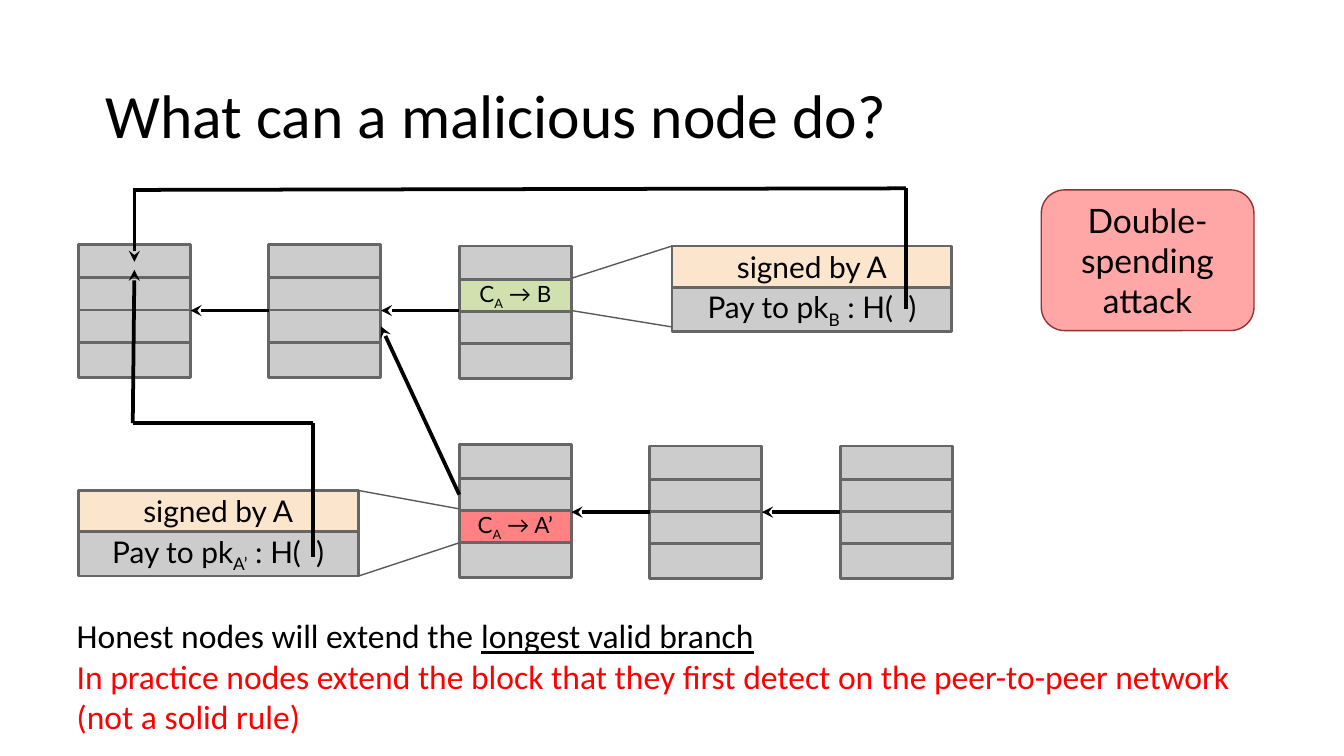
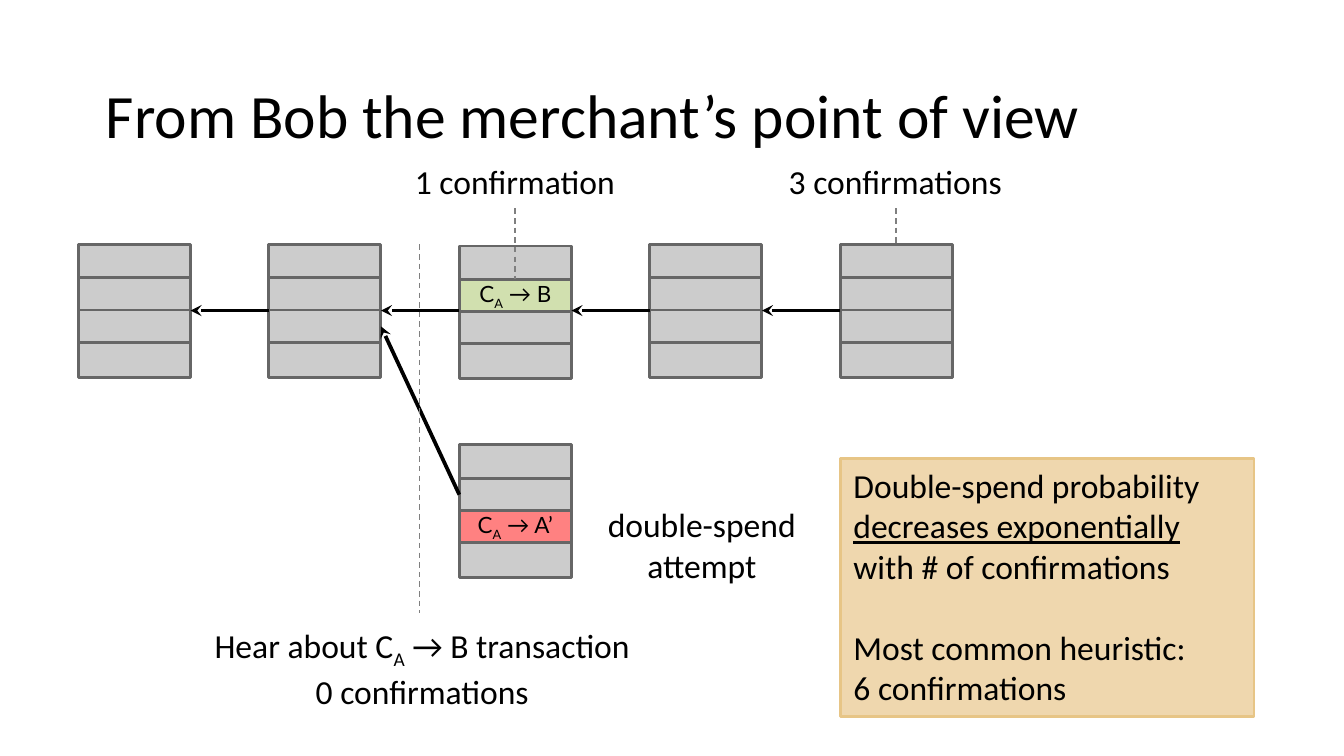
from dataclasses import dataclass
from typing import NamedTuple

from lxml.etree import SubElement
from pptx import Presentation
from pptx.dml.color import RGBColor
from pptx.enum.dml import MSO_LINE
from pptx.enum.shapes import MSO_CONNECTOR, MSO_SHAPE
from pptx.enum.text import MSO_ANCHOR, MSO_AUTO_SIZE, PP_ALIGN
from pptx.oxml.ns import qn
from pptx.util import Cm, Pt

HUES = {
    "ink": "000000", "paper": "FFFFFF", "row": "CCCCCC", "edge": "666666",
    "green": "D1E0AF", "red": "FF8181", "cream": "FCE5CD", "zoom": "595959",
    "dash": "7F7F7F", "pink": "FFA7A7", "wine": "952F30", "alert": "FF0000",
    "sand": "EFD7AE", "gold": "E7C586",
}
LEFT, PITCH, WIDTH = 1.48, 3.6, 2.12
ROWS = (0.63, 0.61, 0.61, 0.66)
UPPER, LOWER = 4.62, 8.43
MID = 1.25
CARD = 5.29
HEAD = 0.78


class Bit(NamedTuple):
    text: str
    sub: bool = False
    under: bool = False


class Para(NamedTuple):
    bits: tuple[Bit, ...]
    hue: str = "ink"
    gap: float = 0


class Box(NamedTuple):
    x: float
    y: float
    w: float
    h: float


@dataclass
class Look:
    font: str = "Calibri"
    size: float = 18
    align: PP_ALIGN = PP_ALIGN.CENTER
    anchor: MSO_ANCHOR = MSO_ANCHOR.TOP
    pad: float = 0.13


@dataclass
class Block:
    col: int
    top: float
    mark: int = -1
    hue: str = "row"
    name: str = ""


@dataclass
class Line:
    x1: float
    y1: float
    x2: float
    y2: float
    hue: str = "ink"
    width: float = 2
    arrow: bool = False
    dash: bool = False


PLAIN = Look()
NOTE = Look(align=PP_ALIGN.LEFT)
CELL = Look("Lato", 12, anchor=MSO_ANCHOR.MIDDLE, pad=0.25)
TAG = Look("Lato", 16, anchor=MSO_ANCHOR.MIDDLE, pad=0.25)
BADGE = Look("Lato", anchor=MSO_ANCHOR.MIDDLE)
TITLE = Look(size=33, align=PP_ALIGN.LEFT, anchor=MSO_ANCHOR.MIDDLE, pad=0.25)


def tint(key: str) -> RGBColor:
    return RGBColor.from_string(HUES[key])


def say(text: str, hue: str = "ink") -> Para:
    return Para((Bit(text),), hue)


def coin(owner: str, lead: str = "", tail: str = "") -> Para:
    return Para((Bit(lead + "C"), Bit("A", sub=True), Bit(f" → {owner}{tail}")))


def left(col: int) -> float:
    return LEFT + col * PITCH


def write(shape, paras: list[Para], look: Look) -> None:
    frame = shape.text_frame
    frame.word_wrap = True
    frame.auto_size = MSO_AUTO_SIZE.NONE
    frame.vertical_anchor = look.anchor
    frame.margin_left = frame.margin_right = Cm(0.25)
    frame.margin_top = frame.margin_bottom = Cm(look.pad)
    for i, para in enumerate(paras):
        p = frame.add_paragraph() if i else frame.paragraphs[0]
        p.alignment = look.align
        p.space_before = Pt(para.gap)
        p.font.name = look.font
        p.font.size = Pt(look.size)
        p.font.color.rgb = tint(para.hue)
        for bit in para.bits:
            for j, part in enumerate(bit.text.split("\n")):
                if j:
                    p.add_line_break()
                run = p.add_run()
                run.text = part
                if bit.under:
                    run.font.underline = True
                if bit.sub:
                    run.font._element.set("baseline", "-25000")


def panel(shapes, box: Box, fill: str, edge: str = "edge", width: float = 1.5,
          kind: MSO_SHAPE = MSO_SHAPE.RECTANGLE):
    shape = shapes.add_shape(kind, *map(Cm, box))
    shape.shadow.inherit = False
    shape.fill.solid()
    shape.fill.fore_color.rgb = tint(fill)
    shape.line.color.rgb = tint(edge)
    shape.line.width = Pt(width)
    return shape


def label(slide, box: Box, paras: list[Para], look: Look = PLAIN) -> None:
    write(slide.shapes.add_textbox(*map(Cm, box)), paras, look)


def draw(slide, line: Line) -> None:
    ends = map(Cm, (line.x1, line.y1, line.x2, line.y2))
    wire = slide.shapes.add_connector(MSO_CONNECTOR.STRAIGHT, *ends)
    wire.line.color.rgb = tint(line.hue)
    wire.line.width = Pt(line.width)
    if line.dash:
        wire.line.dash_style = MSO_LINE.DASH
    if line.arrow:
        SubElement(wire.line._ln, qn("a:tailEnd"), type="stealth")
    SubElement(wire._element.spPr, qn("a:effectLst"))


def stack(slide, block: Block) -> None:
    group = slide.shapes.add_group_shape()
    y = block.top
    for i, high in enumerate(ROWS):
        hit = i == block.mark
        box = Box(left(block.col), y, WIDTH, high)
        row = panel(group.shapes, box, block.hue if hit else "row")
        if hit:
            write(row, [coin(block.name)], CELL)
        y += high


def link(slide, col: int, top: float) -> None:
    y = top + MID
    draw(slide, Line(left(col), y, left(col - 1) + WIDTH, y, arrow=True))


def card(slide, x: float, y: float, name: str) -> None:
    group = slide.shapes.add_group_shape()
    pay = panel(group.shapes, Box(x, y + HEAD, CARD, 0.84), "row")
    write(pay, [Para((Bit("Pay to pk"), Bit(name, sub=True), Bit(" : H(  )")))], TAG)
    sign = panel(group.shapes, Box(x, y, CARD, HEAD), "cream")
    write(sign, [say("signed by A")], TAG)


def start(deck, text: str, top: float):
    slide = deck.slides.add_slide(deck.slide_layouts[5])
    title = slide.shapes.title
    title.left, title.top, title.width, title.height = map(Cm, (1.75, 0.76, 21.9, 2.77))
    title.line.color.rgb = tint("paper")
    title.line.width = Pt(0.75)
    write(title, [say(text)], TITLE)
    blocks = [
        Block(0, UPPER), Block(1, UPPER),
        Block(2, UPPER + 0.03, 1, "green", "B"),
        Block(2, LOWER - 0.02, 2, "red", "A’"),
        Block(3, top), Block(4, top),
    ]
    for block in blocks:
        stack(slide, block)
    for col, y in ((1, UPPER), (2, UPPER), (3, top), (4, top)):
        link(slide, col, y)
    draw(slide, Line(left(2), 9.35, left(1) + WIDTH, 6.17, arrow=True))
    return slide


def attack(deck) -> None:
    slide = start(deck, "What can a malicious node do?", LOWER)
    far, near = left(2) + WIDTH, left(2)
    card(slide, 12.7, 4.65, "B")
    card(slide, LEFT, 9.27, "A’")
    lines = [
        Line(17.12, 3.56, 2.53, 3.59),
        Line(2.54, 3.56, 2.54, 4.95, arrow=True),
        Line(17.12, 5.84, 17.12, 3.56),
        Line(far, 5.26, 12.7, 4.65, "zoom", 0.75),
        Line(far, 5.87, 12.7, 6.18, "zoom", 0.75),
        Line(LEFT + CARD, 9.27, near, 9.62, "zoom", 0.75),
        Line(LEFT + CARD, 10.89, near, 10.26, "zoom", 0.75),
        Line(2.51, 8, 2.54, 5.1, arrow=True),
        Line(5.92, 8, 2.51, 8),
        Line(5.92, 10.52, 5.92, 8),
    ]
    for line in lines:
        draw(slide, line)
    badge = panel(slide.shapes, Box(19.68, 3.59, 4.02, 2.66), "pink", "wine",
                  0.75, MSO_SHAPE.ROUNDED_RECTANGLE)
    write(badge, [say("Double-spending attack")], BADGE)
    label(slide, Box(1.2, 11.5, 23.3, 1.6), [
        Para((Bit("Honest nodes will extend the "),
              Bit("longest valid branch", under=True))),
        say("In practice nodes extend the block that they first detect on the "
            "peer-to-peer network (not a solid rule)", "alert"),
    ], NOTE)


def view(deck) -> None:
    slide = start(deck, "From Bob the merchant’s point of view", UPPER)
    for x, y1, y2 in ((7.93, 4.62, 11.58), (9.73, 3.94, 5.28), (16.93, 3.94, 4.62)):
        draw(slide, Line(x, y1, x, y2, "dash", 0.75, dash=True))
    label(slide, Box(3.32, 11.68, 9.32, 1.8),
          [coin("B", "Hear about ", " transaction"), say("0 confirmations")])
    label(slide, Box(7.37, 2.92, 4.72, 1.02), [say("1 confirmation")])
    label(slide, Box(14.43, 2.92, 4.98, 1.02), [say("3 confirmations")])
    label(slide, Box(11.07, 9.4, 4.39, 1.8), [say("double-spend\nattempt")])
    odds = panel(slide.shapes, Box(left(4), 8.66, 7.82, 4.88), "sand", "gold")
    write(odds, [
        Para((Bit("Double-spend probability "),
              Bit("decreases exponentially", under=True),
              Bit(" with # of confirmations"))),
        Para((Bit("Most common heuristic:\n6 confirmations"),), gap=22),
    ], NOTE)


deck = Presentation()
deck.slide_width, deck.slide_height = Cm(25.4), Cm(14.29)
attack(deck)
view(deck)
deck.save("out.pptx")
